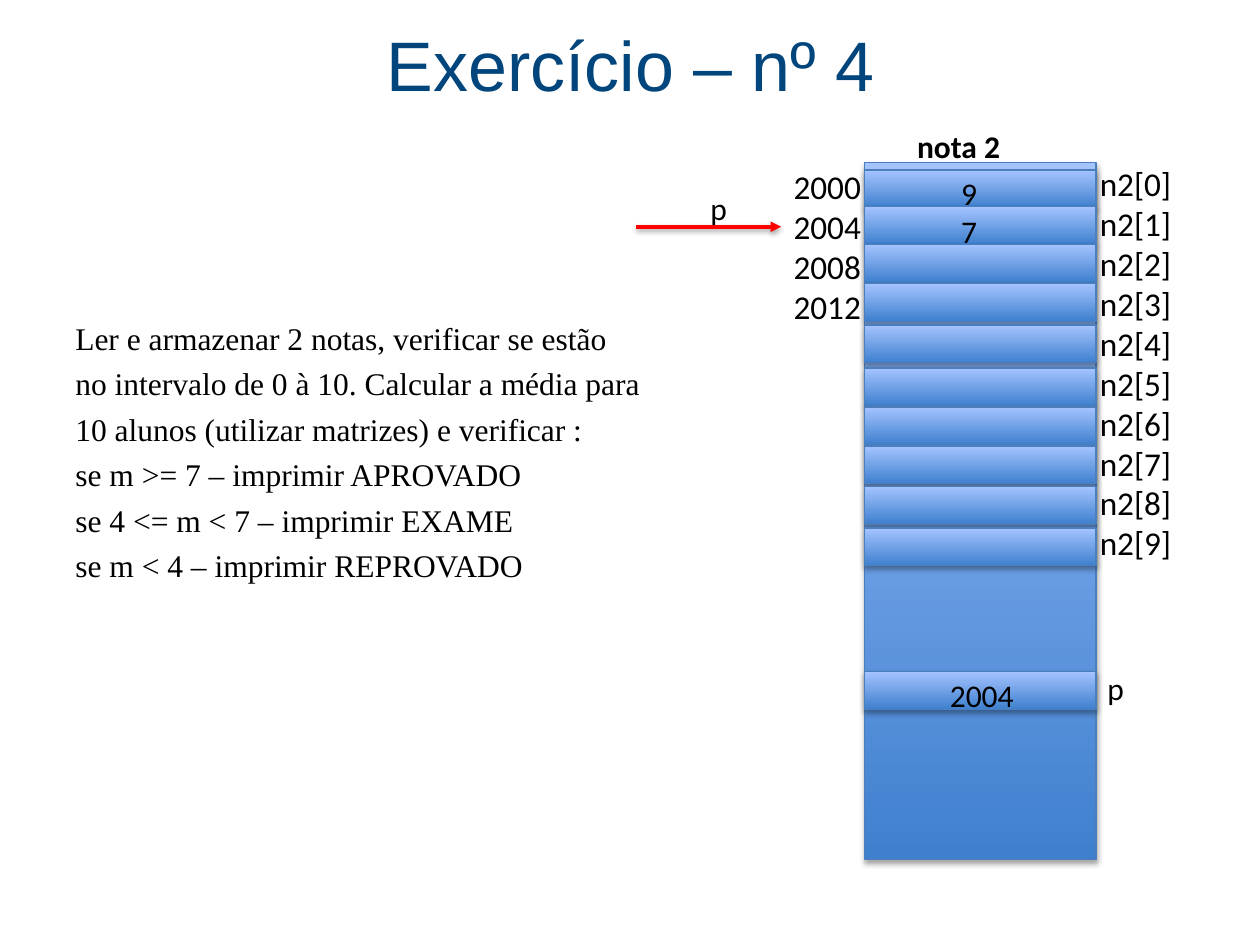
import lxml.etree
import pptx
import pptx.dml.color
import pptx.enum.shapes
import pptx.enum.text
import pptx.oxml
import pptx.oxml.ns
import pptx.util

Inches = pptx.util.Inches
Pt = pptx.util.Pt
ALIGN = pptx.enum.text.PP_ALIGN
ANCHOR = pptx.enum.text.MSO_ANCHOR

COLORS = {
    "title": "00457C",
    "text": "000000",
    "cell_dark": "3F80CE",
    "cell_light": "A4C4FF",
    "cell_edge": "4B7EBC",
    "pointer": "FF0000",
    "shadow": "000000",
}
TITLE = {"name": "Arial", "size": Pt(40)}
STATEMENT = {"name": "Times New Roman", "size": Pt(18)}
INDEX = {"name": "Calibri", "size": Pt(19)}
VALUE = {"name": "Calibri", "size": Pt(18)}
HEADING = {**VALUE, "bold": True}

STATEMENT_LINES = [
    "Ler e armazenar 2 notas, verificar se estão",
    "no intervalo de 0 à 10. Calcular a média para",
    "10 alunos (utilizar matrizes) e verificar :",
    "se m >= 7 – imprimir APROVADO",
    "se 4 <= m < 7 – imprimir EXAME",
    "se m < 4 – imprimir REPROVADO",
]
CELL_TOPS = [0.06, 0.35, 0.65, 0.96, 1.29, 1.63, 1.94, 2.25, 2.57, 2.9]
POINTER_CELL_TOP = 4.04
CELL_HEIGHT = 0.3


def rgb(key):
    """Return the named colour."""
    return pptx.dml.color.RGBColor.from_string(COLORS[key])


def add_text(slide, box, lines, style, color="text", align=ALIGN.LEFT,
             anchor=ANCHOR.TOP, gap=0):
    """Place one paragraph per line in the box."""
    frame = slide.shapes.add_textbox(*map(Inches, box)).text_frame
    frame.word_wrap = True
    frame.vertical_anchor = anchor
    for number, line in enumerate(lines):
        paragraph = frame.paragraphs[0] if number == 0 else frame.add_paragraph()
        paragraph.text = line
        paragraph.alignment = align
        paragraph.space_before = Pt(gap if number else 0)
        paragraph.font.color.rgb = rgb(color)
        for name, value in style.items():
            setattr(paragraph.font, name, value)


def add_shadow(shape, opacity, distance):
    """Give the shape a soft shadow falling straight down."""
    properties = shape._element.spPr
    effects = lxml.etree.SubElement(properties, pptx.oxml.ns.qn("a:effectLst"))
    effects.append(pptx.oxml.parse_xml(
        f'<a:outerShdw {pptx.oxml.ns.nsdecls("a")} blurRad="{Pt(3.1)}" '
        f'dist="{Pt(distance)}" dir="5400000" rotWithShape="0">'
        f'<a:srgbClr val="{COLORS["shadow"]}"><a:alpha val="{opacity * 1000}"/>'
        '</a:srgbClr></a:outerShdw>'))


def add_block(slide, box):
    """Add one shaded rectangle of memory."""
    block = slide.shapes.add_shape(
        pptx.enum.shapes.MSO_SHAPE.RECTANGLE, *map(Inches, box))
    block.fill.gradient()
    block.fill.gradient_angle = 90
    for stop, position, key in zip(
            block.fill.gradient_stops, (0, 1), ("cell_dark", "cell_light")):
        stop.position = position
        stop.color.rgb = rgb(key)
    block.line.color.rgb = rgb("cell_edge")
    block.line.width = Pt(0.75)
    add_shadow(block, 35, 1.8)


def add_memory(slide, box):
    """Draw the memory column with its cells, addresses and indices."""
    left, top, width, height = box
    add_block(slide, box)
    for offset in CELL_TOPS + [POINTER_CELL_TOP]:
        add_block(slide, (left, top + offset, width, CELL_HEIGHT))
    indices = [f"n2[{index}]" for index in range(len(CELL_TOPS))]
    addresses = [str(2000 + 4 * step) for step in range(4)]
    for offset_x, offset_y, label_width, label_height, lines, style in (
            (0.32, -0.33, 1.68, 0.4, ["nota 2"], HEADING),
            (width - 0.07, -0.04, 0.85, 3.3, indices, INDEX),
            (-0.66, -0.02, 0.85, 1.72, addresses, INDEX),
            (0.67, 0.04, 0.6, 0.71, ["9", "7"], VALUE),
            (0.58, 4.03, 0.97, 0.4, ["2004"], VALUE),
            (width - 0.01, 3.97, 0.4, 0.4, ["p"], VALUE)):
        add_text(slide, (left + offset_x, top + offset_y, label_width, label_height),
                 lines, style)


def add_pointer(slide, box):
    """Draw the labelled arrow along the bottom of the box."""
    left, top, width, height = box
    bottom = Inches(top + height)
    arrow = slide.shapes.add_connector(
        pptx.enum.shapes.MSO_CONNECTOR.STRAIGHT,
        Inches(left), bottom, Inches(left + width), bottom)
    arrow.line.color.rgb = rgb("pointer")
    arrow.line.width = Pt(2)
    head = lxml.etree.SubElement(
        arrow.line._get_or_add_ln(), pptx.oxml.ns.qn("a:tailEnd"))
    head.set("type", "triangle")
    add_shadow(arrow, 38, 1.6)
    add_text(slide, (left + 0.49, top, 0.4, 0.4), ["p"], VALUE)


def main():
    """Build and save the exercise slide."""
    deck = pptx.Presentation()
    deck.slide_width, deck.slide_height = Inches(10), Inches(7.5)
    slide = deck.slides.add_slide(deck.slide_layouts[6])
    add_text(slide, (0.5, 2.48, 9, 2.2), STATEMENT_LINES, STATEMENT,
             align=ALIGN.JUSTIFY, gap=4.4)
    add_text(slide, (0.35, 0.03, 9.31, 0.95), ["Exercício – nº 4"], TITLE,
             "title", ALIGN.CENTER, ANCHOR.MIDDLE)
    add_memory(slide, (6.86, 1.29, 1.84, 5.53))
    add_pointer(slide, (5.05, 1.45, 1.15, 0.35))
    deck.save("out.pptx")


if __name__ == "__main__":
    main()
